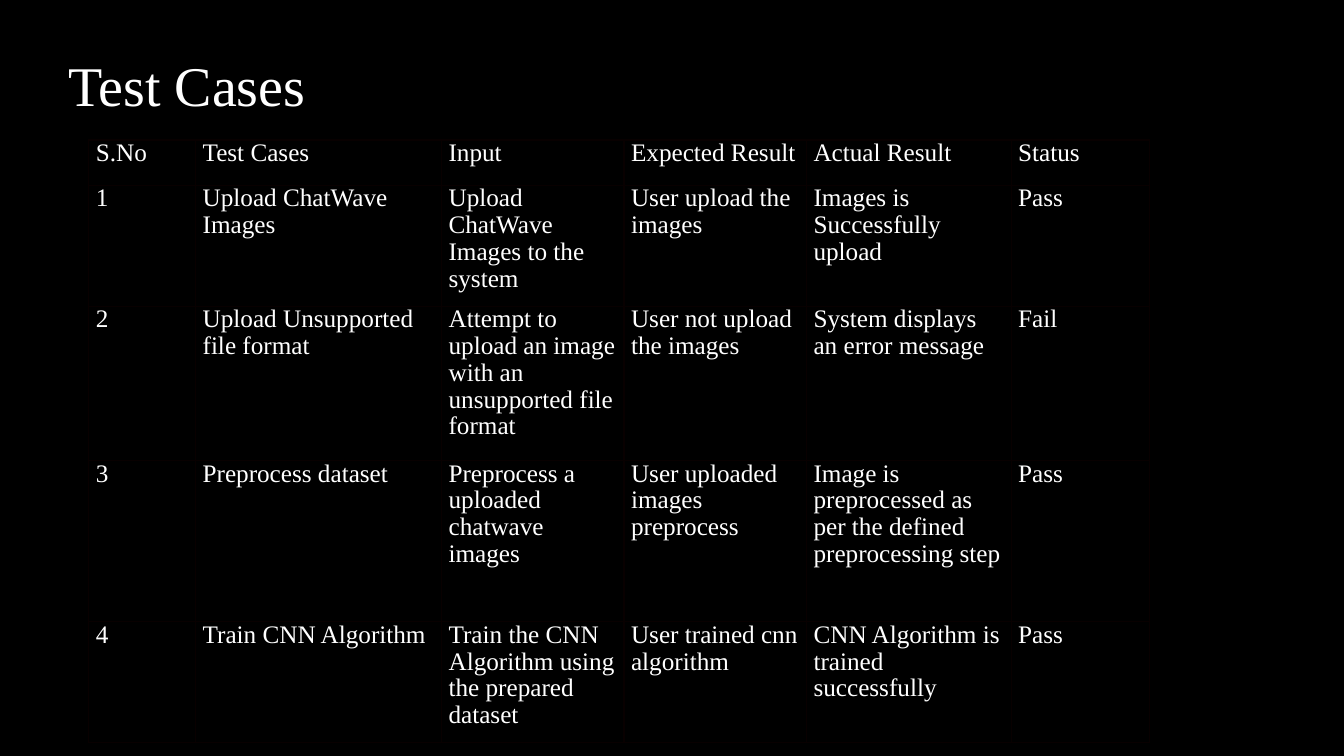
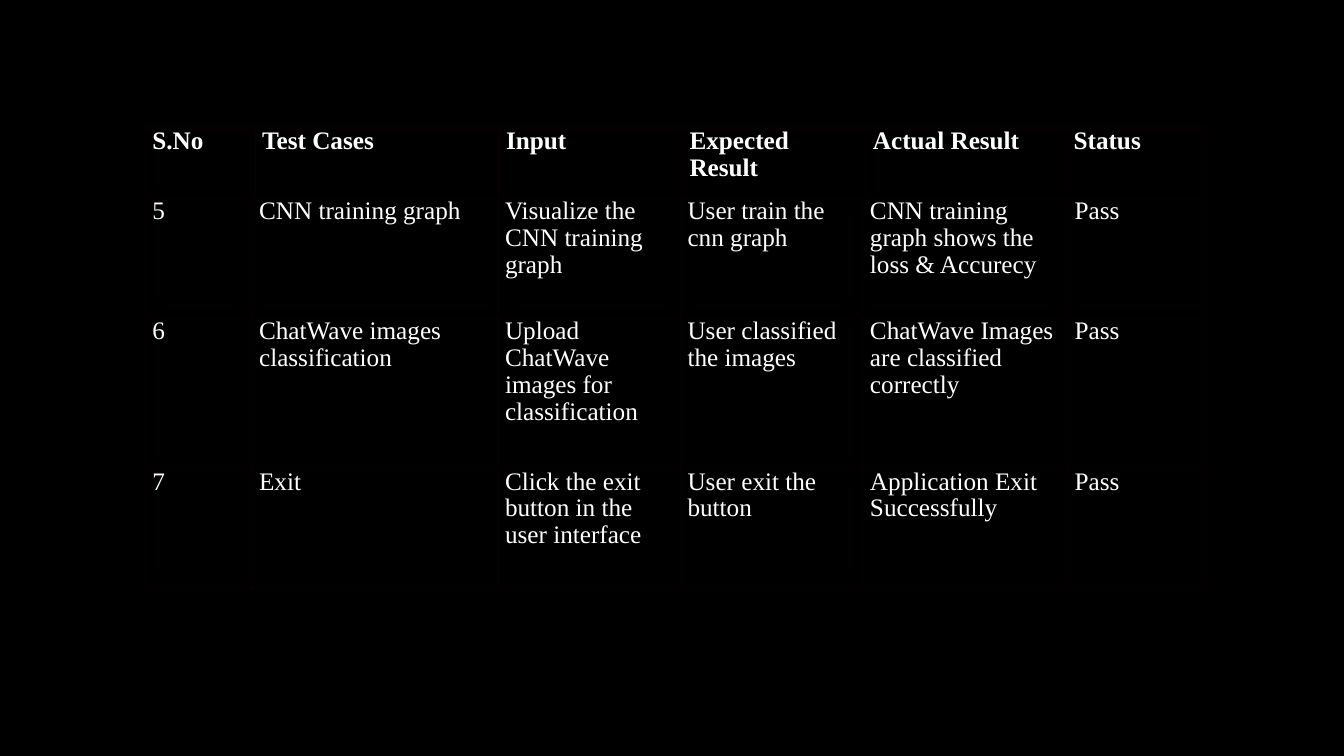
from lxml.etree import SubElement
from pptx import Presentation
from pptx.dml.color import RGBColor
from pptx.enum.text import MSO_ANCHOR as Anchor, PP_ALIGN as Align
from pptx.oxml.ns import qn
from pptx.util import Inches, Pt

WIDTH, HEIGHT = Inches(13.33), Inches(7.5)
FONT = "Times New Roman"
COLORS = {"background": "000000", "text": "FFFFFF", "border": "080000"}
HEADINGS = ["S.No", "Test Cases", "Input", "Expected Result", "Actual Result", "Status"]
CASE_COLUMNS = [7.95, 18.3, 13.58, 13.58, 15.23, 10.28]
HEADING_COLUMNS = [8.18, 18.15, 13.65, 13.65, 14.93, 10.35]

FIRST_CASES = [
    ["1", "Upload ChatWave Images", "Upload ChatWave Images to the system",
     "User upload the images", "Images is Successfully upload", "Pass"],
    ["2", "Upload Unsupported file format",
     "Attempt to upload an image with an unsupported file format",
     "User not upload the images", "System displays an error message", "Fail"],
    ["3", "Preprocess dataset", "Preprocess a uploaded chatwave images",
     "User uploaded images preprocess",
     "Image is preprocessed as per the defined preprocessing step", "Pass"],
    ["4", "Train CNN Algorithm", "Train the CNN Algorithm using the prepared dataset",
     "User trained cnn algorithm", "CNN Algorithm is trained successfully", "Pass"],
]
LAST_CASES = [
    ["5", "CNN training graph", "Visualize the CNN training graph",
     "User train the cnn graph", "CNN training graph shows the loss & Accurecy", "Pass"],
    ["6", "ChatWave images classification", "Upload ChatWave images for classification",
     "User classified the images", "ChatWave Images are classified correctly", "Pass"],
    ["7", "Exit", "Click the exit button in the user interface",
     "User exit the button", "Application Exit Successfully", "Pass"],
]


def across(percent):
    return round(WIDTH * percent / 100)


def down(percent):
    return round(HEIGHT * percent / 100)


def color(name):
    return RGBColor.from_string(COLORS[name])


def write(frame, text, size=18, bold=False, spacing=0.96):
    para = frame.paragraphs[0]
    para.alignment = Align.LEFT
    para.line_spacing = spacing
    span = para.add_run()
    span.text = text
    span.font.name = FONT
    span.font.size = Pt(size)
    span.font.bold = bold
    span.font.color.rgb = color("text")


def add_borders(cell):
    properties = cell._tc.get_or_add_tcPr()
    for index, side in enumerate(("lnL", "lnR", "lnT", "lnB")):
        line = SubElement(properties, qn(f"a:{side}"), w=str(Pt(1)))
        fill = SubElement(line, qn("a:solidFill"))
        SubElement(fill, qn("a:srgbClr"), val=COLORS["border"])
        properties.insert(index, line)


def format_cell(cell, text, bold):
    cell.margin_left = cell.margin_right = across(0.53)
    cell.margin_top = cell.margin_bottom = 0
    cell.vertical_anchor = Anchor.TOP
    cell.fill.solid()
    cell.fill.fore_color.rgb = color("background")
    add_borders(cell)
    write(cell.text_frame, text, bold=bold)


def add_grid(page, left, top, columns, heights, rows, bold=False):
    table = page.shapes.add_table(
        len(rows), len(columns), across(left), down(top),
        across(sum(columns)), down(sum(heights))).table
    table.first_row = table.horz_banding = False
    for column, width in zip(table.columns, columns):
        column.width = across(width)
    for row, height, texts in zip(table.rows, heights, rows):
        row.height = down(height)
        for cell, text in zip(row.cells, texts):
            format_cell(cell, text, bold)


def add_title(page, text):
    title = page.shapes.title
    title.left, title.top = across(4.35), down(6)
    title.width, title.height = across(33.31), down(10.27)
    title.text_frame.vertical_anchor = Anchor.TOP
    write(title.text_frame, text, size=40, spacing=1.0)


def main():
    deck = Presentation()
    deck.slide_width, deck.slide_height = WIDTH, HEIGHT
    backdrop = deck.slide_master.background.fill
    backdrop.solid()
    backdrop.fore_color.rgb = color("background")
    title_only, blank = deck.slide_layouts[5], deck.slide_layouts[6]

    page = deck.slides.add_slide(title_only)
    add_title(page, "Test Cases")
    add_grid(page, 6.6, 18.53, CASE_COLUMNS, [6, 16, 20.4, 21.33, 16],
             [HEADINGS, *FIRST_CASES])

    page = deck.slides.add_slide(blank)
    left, top, heading_height = 10.8, 16.93, 9.33
    add_grid(page, left, top + heading_height, CASE_COLUMNS,
             [15.87, 19.87, 15.87], LAST_CASES)
    add_grid(page, left, top, HEADING_COLUMNS, [heading_height], [HEADINGS], bold=True)

    deck.save("out.pptx")


if __name__ == "__main__":
    main()
